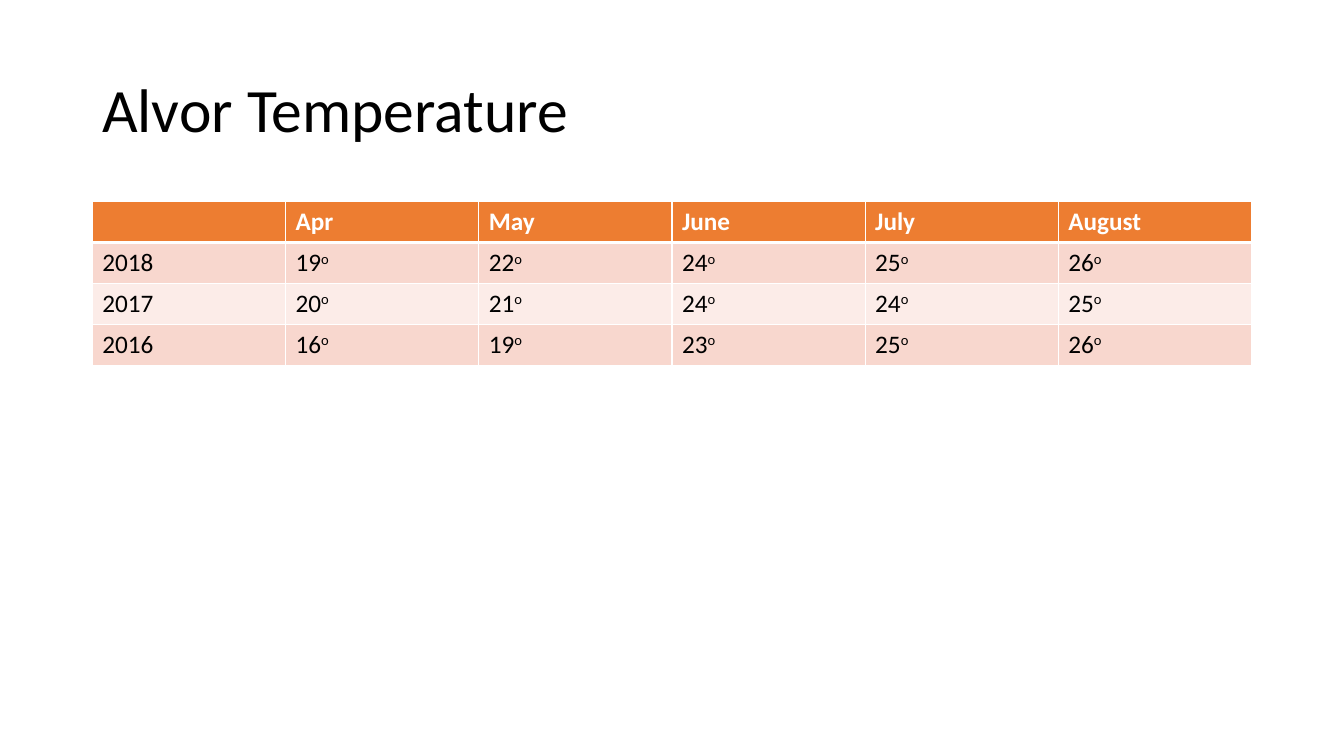
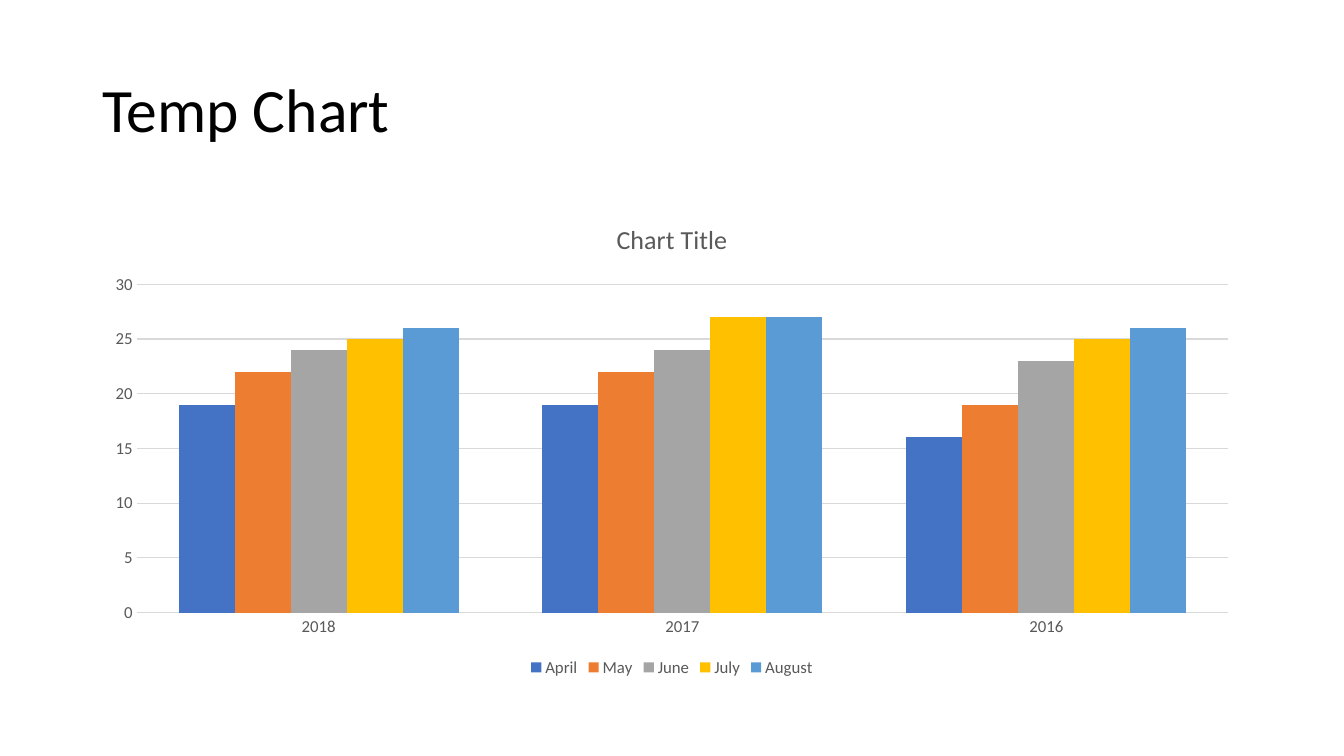
from lxml.etree import SubElement
from pptx import Presentation
from pptx.chart.data import CategoryChartData
from pptx.dml.color import RGBColor
from pptx.enum.chart import XL_CHART_TYPE, XL_LEGEND_POSITION, XL_TICK_MARK
from pptx.enum.text import MSO_ANCHOR
from pptx.oxml.ns import qn
from pptx.util import Pt

PX = 9525  # EMU in one px, 96 px to the inch
FONT = "Calibri"
BLACK, WHITE, GRAY, GRID = "000000", "FFFFFF", "595959", "D9D9D9"
ORANGE, BAND_DARK, BAND_LIGHT = "ED7D31", "F8D7CE", "FCECE8"
LEFT, WIDTH = 88, 1104
TITLE_TOP, TITLE_HEIGHT, BODY_TOP = 38, 139, 192
ROW_HEIGHT, CHART_HEIGHT = 39, 457

color = RGBColor.from_string


def add_text(paragraph, text, size=18, fill=BLACK, bold=False, superscript=False):
    run = paragraph.add_run()
    run.text = text
    run.font.name = FONT
    run.font.size = Pt(size)
    run.font.bold = bold
    run.font.color.rgb = color(fill)
    if superscript:
        run.font._element.set("baseline", "30000")


def add_borders(cell, **widths):
    """Draw white cell borders; widths in points are keyed L, R, T, B in that order."""
    properties = cell._tc.get_or_add_tcPr()
    for position, (side, width) in enumerate(widths.items()):
        line = SubElement(properties, qn(f"a:ln{side}"), w=str(Pt(width)))
        fill = SubElement(line, qn("a:solidFill"))
        SubElement(fill, qn("a:srgbClr"), val=WHITE)
        properties.insert(position, line)


presentation = Presentation()
presentation.slide_width = 1280 * PX
presentation.slide_height = 720 * PX

slides = []
for title in ("Alvor Temperature", "Temp Chart"):
    slide = presentation.slides.add_slide(presentation.slide_layouts[6])
    slides.append(slide)
    title_box = slide.shapes.add_textbox(LEFT * PX, TITLE_TOP * PX, WIDTH * PX, TITLE_HEIGHT * PX)
    frame = title_box.text_frame
    frame.word_wrap = True
    frame.vertical_anchor = MSO_ANCHOR.MIDDLE
    frame.paragraphs[0].line_spacing = 0.9
    add_text(frame.paragraphs[0], title, size=44)
table_slide, chart_slide = slides

# Temperature table
table_rows = [
    ("", "Apr", "May", "June", "July", "August"),
    ("2018", "19", "22", "24", "25", "26"),
    ("2017", "20", "21", "24", "24", "25"),
    ("2016", "16", "19", "23", "25", "26"),
]
row_fills = (ORANGE, BAND_DARK, BAND_LIGHT, BAND_DARK)
table = table_slide.shapes.add_table(
    len(table_rows), len(table_rows[0]),
    LEFT * PX, BODY_TOP * PX, WIDTH * PX, len(table_rows) * ROW_HEIGHT * PX,
).table
table.horz_banding = False
for row_index, (values, row_fill) in enumerate(zip(table_rows, row_fills)):
    is_header = row_index == 0
    for column_index, value in enumerate(values):
        cell = table.cell(row_index, column_index)
        cell.fill.solid()
        cell.fill.fore_color.rgb = color(row_fill)
        add_borders(cell, L=1, R=1, T=3 if row_index == 1 else 1, B=3 if is_header else 1)
        paragraph = cell.text_frame.paragraphs[0]
        if value:
            add_text(paragraph, value, fill=WHITE if is_header else BLACK, bold=is_header)
        if not is_header and column_index > 0:
            add_text(paragraph, "o", superscript=True)

# Temperature chart
months = [
    ("April", (19, 19, 16), "4472C4"),
    ("May", (22, 22, 19), ORANGE),
    ("June", (24, 24, 23), "A5A5A5"),
    ("July", (25, 27, 25), "FFC000"),
    ("August", (26, 27, 26), "5B9BD5"),
]
chart_data = CategoryChartData()
chart_data.categories = ["2018", "2017", "2016"]
for month, temperatures, _ in months:
    chart_data.add_series(month, temperatures)
chart = chart_slide.shapes.add_chart(
    XL_CHART_TYPE.COLUMN_CLUSTERED,
    LEFT * PX, BODY_TOP * PX, WIDTH * PX, CHART_HEIGHT * PX, chart_data,
).chart
chart.font.name = FONT
chart.font.size = Pt(12)
chart.font.color.rgb = color(GRAY)
chart.has_title = True
add_text(chart.chart_title.text_frame.paragraphs[0], "Chart Title", size=18.6, fill=GRAY)
chart.chart_title.include_in_layout = False
chart.has_legend = True
chart.legend.position = XL_LEGEND_POSITION.BOTTOM
chart.legend.include_in_layout = False

plot = chart.plots[0]
plot.gap_width = 150
plot.overlap = 0
plot.vary_by_categories = False
for series, (_, _, series_fill) in zip(plot.series, months):
    series.format.fill.solid()
    series.format.fill.fore_color.rgb = color(series_fill)

for axis in (chart.category_axis, chart.value_axis):
    axis.major_tick_mark = XL_TICK_MARK.NONE
    axis.minor_tick_mark = XL_TICK_MARK.NONE
    axis.format.line.fill.background()
value_axis = chart.value_axis
value_axis.minimum_scale = 0
value_axis.maximum_scale = 30
value_axis.major_unit = 5
value_axis.has_major_gridlines = True
value_axis.major_gridlines.format.line.color.rgb = color(GRID)
value_axis.major_gridlines.format.line.width = Pt(0.75)

presentation.save("out.pptx")
